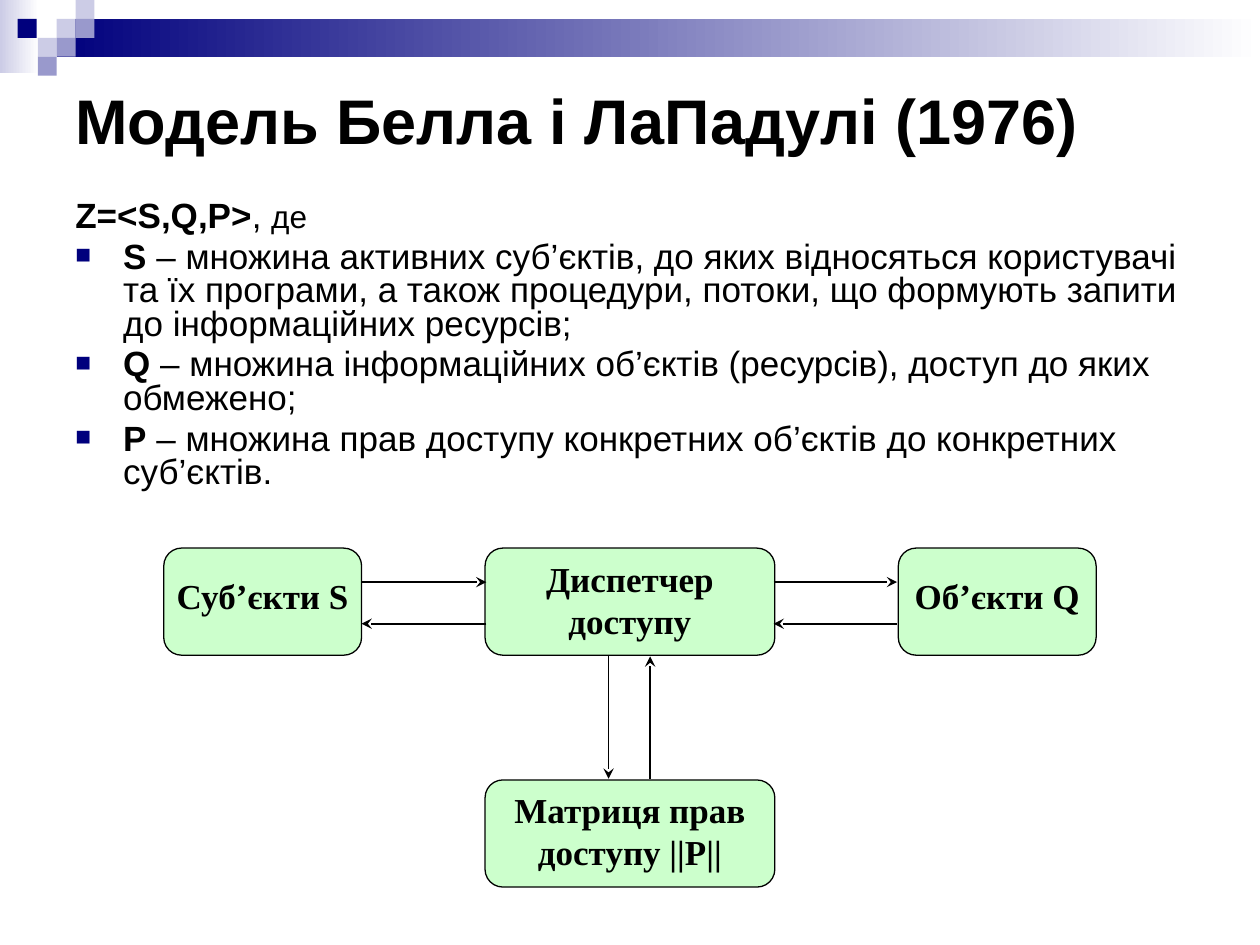
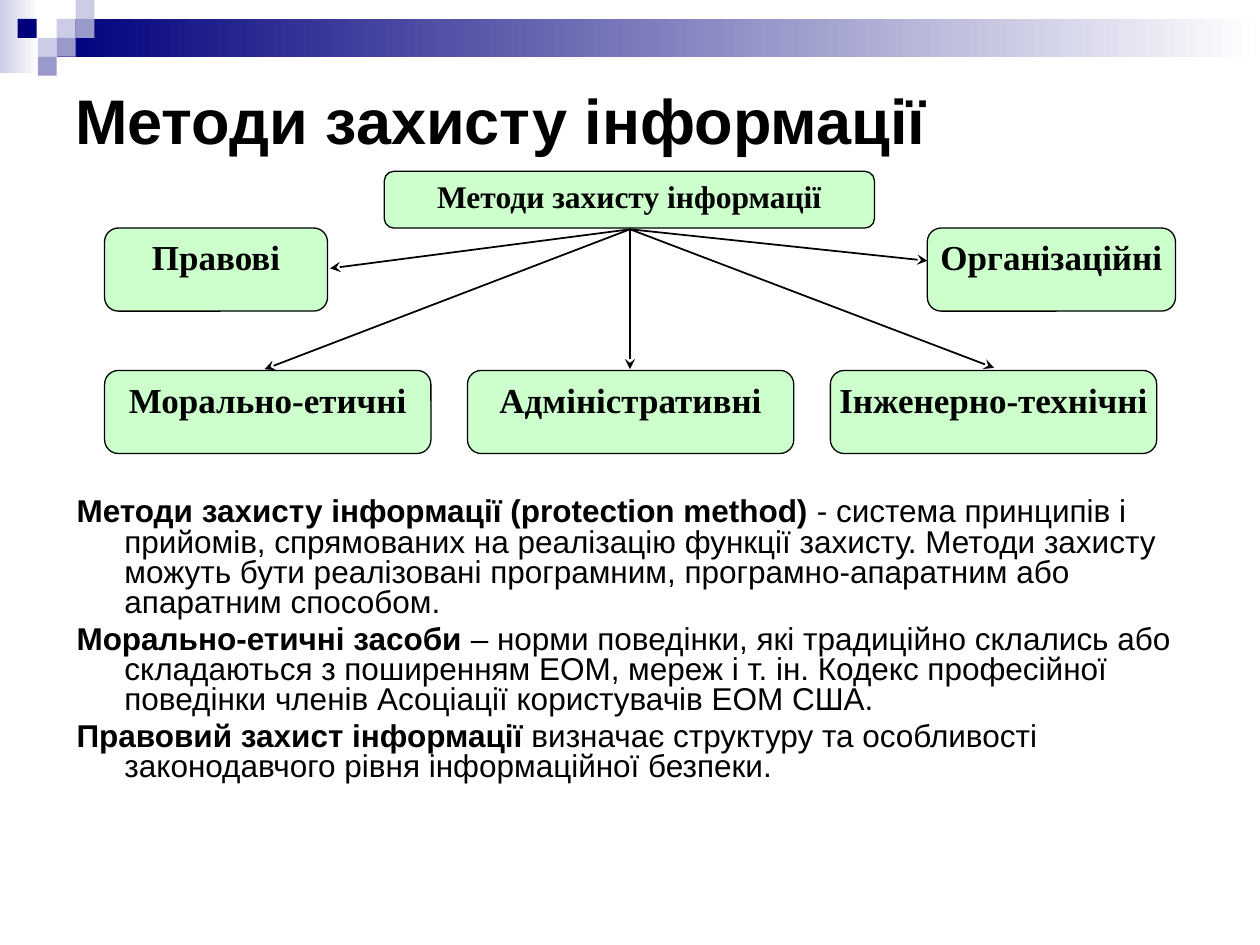
from dataclasses import dataclass

from lxml.etree import SubElement
from pptx import Presentation
from pptx.dml.color import RGBColor
from pptx.enum.shapes import MSO_CONNECTOR, MSO_SHAPE
from pptx.enum.text import MSO_ANCHOR, PP_ALIGN
from pptx.oxml.ns import qn
from pptx.util import Emu, Pt

PX = 9144  # 100 px to the inch


@dataclass(frozen=True)
class Theme:
    navy: str = "00007D"
    violet: str = "9999CC"
    lavender: str = "CCCCE6"
    mint: str = "CCFFCC"
    white: str = "FFFFFF"
    black: str = "000000"
    sans: str = "Arial"
    serif: str = "Times New Roman"
    title_size: int = 36
    large: int = 20
    small: int = 18
    outline: float = 0.75
    arrow: float = 1
    line_spacing: float = 0.8
    space_before: float = 0.2  # share of the type size
    hanging: int = 38


THEME = Theme()


@dataclass(frozen=True)
class Box:
    left: int
    top: int
    width: int
    height: int

    def emu(self) -> list[Emu]:
        return [Emu(side * PX) for side in (self.left, self.top, self.width, self.height)]


@dataclass(frozen=True)
class Node:
    label: str
    box: Box
    size: int = THEME.large
    inset_top: int = 3


@dataclass(frozen=True)
class Arrow:
    """Runs from its start to its pointed end."""
    start: tuple[int, int]
    end: tuple[int, int]


@dataclass(frozen=True)
class Span:
    text: str
    bold: bool = False
    size: int = 0  # 0 takes the size of the body


@dataclass(frozen=True)
class Para:
    spans: tuple[Span, ...]
    bullet: bool = False


def color(value: str) -> RGBColor:
    return RGBColor.from_string(value)


def write(para, text: str, *, size: float, font: str = THEME.sans, bold: bool = False) -> None:
    span = para.add_run()
    span.text = text
    span.font.size = Pt(size)
    span.font.name = font
    span.font.bold = bold
    span.font.color.rgb = color(THEME.black)


def add_box(page, box: Box, fill: str, *, fade_to: str = "", preset=MSO_SHAPE.RECTANGLE):
    shape = page.shapes.add_shape(preset, *box.emu())
    shape.shadow.inherit = False
    shape.line.fill.background()
    if fade_to:
        shape.fill.gradient()
        shape.fill.gradient_angle = 0
        for stop, position, shade in zip(shape.fill.gradient_stops, (0, 1), (fill, fade_to)):
            stop.position = position
            stop.color.rgb = color(shade)
    else:
        shape.fill.solid()
        shape.fill.fore_color.rgb = color(fill)
    return shape


def add_header(page, title: str) -> None:
    """Draws the gradient bands, the mosaic of squares and the title."""
    add_box(page, Box(0, 0, 31, 58), THEME.lavender, fade_to=THEME.white)
    add_box(page, Box(45, 15, 955, 30), THEME.navy, fade_to=THEME.white)
    tile = 15
    mosaic = (
        (45, 15, THEME.lavender), (60, 0, THEME.lavender), (60, 15, THEME.violet),
        (30, 30, THEME.lavender), (14, 15, THEME.navy), (45, 30, THEME.violet),
        (30, 45, THEME.violet),
    )
    for left, top, fill in mosaic:
        add_box(page, Box(left, top, tile, tile), fill)
    frame = page.shapes.add_textbox(*Box(50, 50, 900, 89).emu()).text_frame
    frame.word_wrap = True
    frame.vertical_anchor = MSO_ANCHOR.MIDDLE
    write(frame.paragraphs[0], title, size=THEME.title_size, bold=True)


def set_indent(para, bullet: bool) -> None:
    properties = para._p.get_or_add_pPr()
    properties.set("marL", str(THEME.hanging * PX))
    properties.set("indent", str(-THEME.hanging * PX))
    if not bullet:
        SubElement(properties, qn("a:buNone"))
        return
    tint = SubElement(properties, qn("a:buClr"))
    SubElement(tint, qn("a:srgbClr"), val=THEME.navy)
    SubElement(properties, qn("a:buSzPct"), val="75000")
    SubElement(properties, qn("a:buFont"), typeface=THEME.sans)
    SubElement(properties, qn("a:buChar"), char="■")


def add_body(page, box: Box, paras: list[Para], size: int) -> None:
    frame = page.shapes.add_textbox(*box.emu()).text_frame
    frame.word_wrap = True
    for index, content in enumerate(paras):
        para = frame.add_paragraph() if index else frame.paragraphs[0]
        para.line_spacing = THEME.line_spacing
        para.space_before = Pt(size * THEME.space_before)
        set_indent(para, content.bullet)
        for span in content.spans:
            write(para, span.text, size=span.size or size, bold=span.bold)


def add_node(page, node: Node) -> None:
    shape = add_box(page, node.box, THEME.mint, preset=MSO_SHAPE.ROUNDED_RECTANGLE)
    shape.line.color.rgb = color(THEME.black)
    shape.line.width = Pt(THEME.outline)
    frame = shape.text_frame
    frame.word_wrap = True
    frame.vertical_anchor = MSO_ANCHOR.TOP
    frame.margin_left = frame.margin_right = frame.margin_bottom = 0
    frame.margin_top = Emu(node.inset_top * PX)
    para = frame.paragraphs[0]
    para.alignment = PP_ALIGN.CENTER
    write(para, node.label, size=node.size, font=THEME.serif, bold=True)


def add_arrow(page, arrow: Arrow) -> None:
    ends = [Emu(value * PX) for value in (*arrow.start, *arrow.end)]
    line = page.shapes.add_connector(MSO_CONNECTOR.STRAIGHT, *ends)
    line.line.color.rgb = color(THEME.black)
    line.line.width = Pt(THEME.arrow)
    SubElement(line.line._get_or_add_ln(), qn("a:tailEnd"), type="stealth")
    SubElement(line._element.spPr, qn("a:effectLst"))


def add_diagram(page, nodes: list[Node], arrows: list[Arrow]) -> None:
    for node in nodes:
        add_node(page, node)
    for arrow in arrows:
        add_arrow(page, arrow)


def build_access_model(page) -> None:
    add_header(page, "Модель Белла і ЛаПадулі (1976)")
    definitions = (
        ("S", " – множина активних суб’єктів, до яких відносяться користувачі та їх програми, "
              "а також процедури, потоки, що формують запити до інформаційних ресурсів;"),
        ("Q", " – множина інформаційних об’єктів (ресурсів), доступ до яких обмежено;"),
        ("P", " – множина прав доступу конкретних об’єктів до конкретних суб’єктів."),
    )
    formula = Para((Span("Z=<S,Q,P>", bold=True), Span(", "), Span("де", size=THEME.small)))
    bullets = [Para((Span(symbol, bold=True), Span(meaning)), bullet=True)
               for symbol, meaning in definitions]
    add_body(page, Box(50, 155, 900, 252), [formula, *bullets], THEME.large)

    row, height = 435, 85
    nodes = [
        Node("Суб’єкти S", Box(130, row, 157, height), inset_top=17),
        Node("Матриця прав доступу ||P||", Box(385, 619, 230, height)),
        Node("Диспетчер доступу", Box(385, row, 230, height)),
        Node("Об’єкти Q", Box(713, row, 157, height), inset_top=17),
    ]
    arrows = [Arrow((516, 618), (516, 521)), Arrow((483, 521), (483, 618))]
    for left, right in ((287, 386), (614, 712)):
        arrows += [Arrow((right, 495), (left, 495)), Arrow((left, 462), (right, 462))]
    add_diagram(page, nodes, arrows)


def build_protection_methods(page) -> None:
    add_header(page, "Методи захисту інформації")
    definitions = (
        ("Методи захисту інформації (protection method) ",
         "- система принципів і прийомів, спрямованих на реалізацію функції захисту. Методи "
         "захисту можуть бути реалізовані програмним, програмно-апаратним або апаратним способом."),
        ("Морально-етичні засоби",
         " – норми поведінки, які традиційно склались або складаються з поширенням ЕОМ, мереж "
         "і т. ін. Кодекс професійної поведінки членів Асоціації користувачів ЕОМ США."),
        ("Правовий захист інформації ",
         "визначає структуру та особливості законодавчого рівня інформаційної безпеки."),
    )
    paras = [Para((Span(term, bold=True), Span(meaning))) for term, meaning in definitions]
    add_body(page, Box(51, 391, 900, 290), paras, THEME.small)

    height, pitch = 66, 288
    lower_row = ("Морально-етичні", "Адміністративні", "Інженерно-технічні")
    nodes = [
        Node("Методи захисту інформації", Box(305, 136, 389, 45), THEME.small, inset_top=2),
        *(Node(label, Box(83 + column * pitch, 294, 259, height))
          for column, label in enumerate(lower_row)),
        Node("Правові", Box(83, 181, 177, height)),
        Node("Організаційні", Box(736, 181, 197, height)),
    ]
    root = (500, 182)
    targets = ((500, 293), (789, 292), (210, 293), (262, 213), (736, 207))
    add_diagram(page, nodes, [Arrow(root, target) for target in targets])


def main() -> None:
    deck = Presentation()
    deck.slide_width, deck.slide_height = Emu(1000 * PX), Emu(750 * PX)
    blank = deck.slide_layouts[6]
    for build in (build_access_model, build_protection_methods):
        build(deck.slides.add_slide(blank))
    deck.save("out.pptx")


if __name__ == "__main__":
    main()
